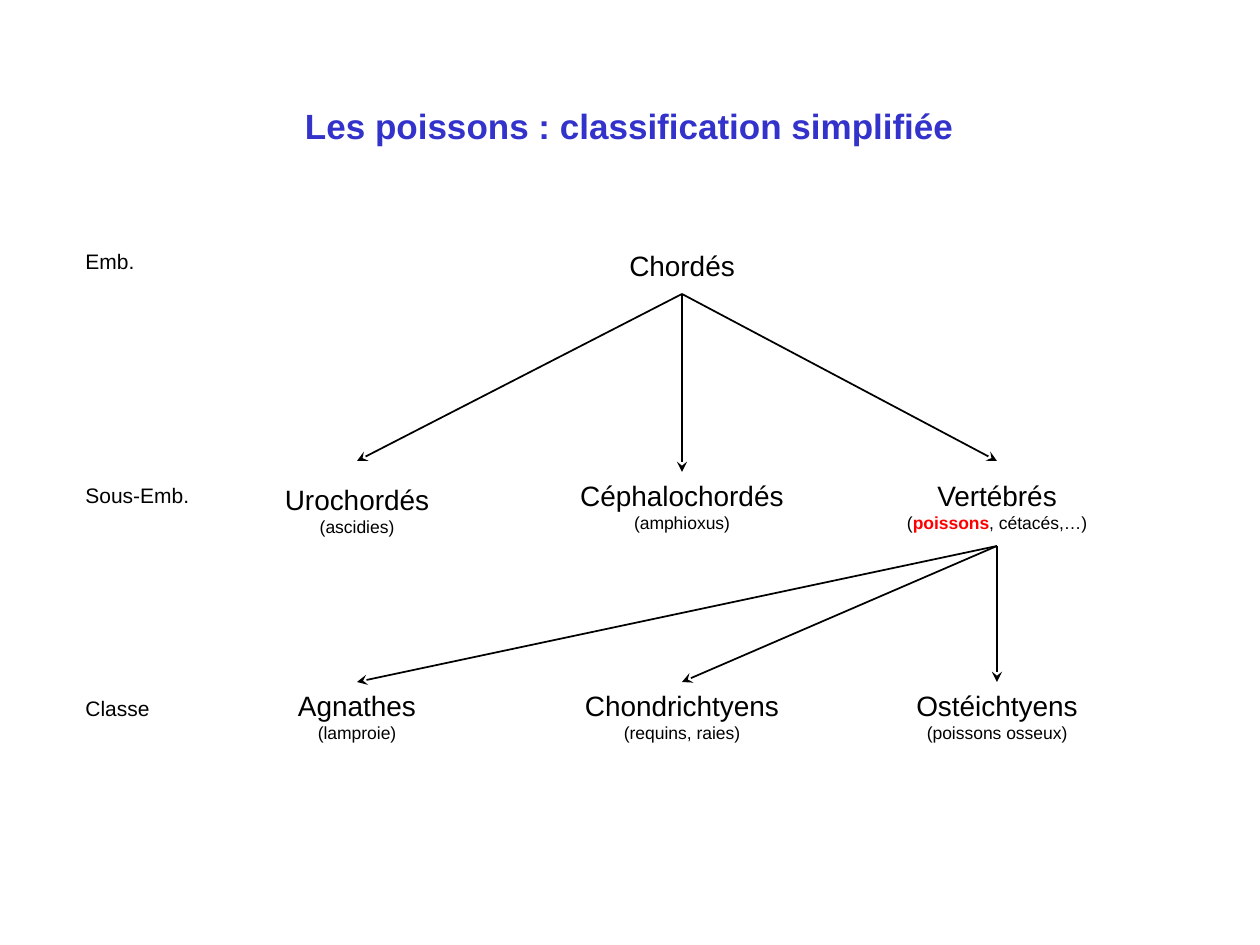
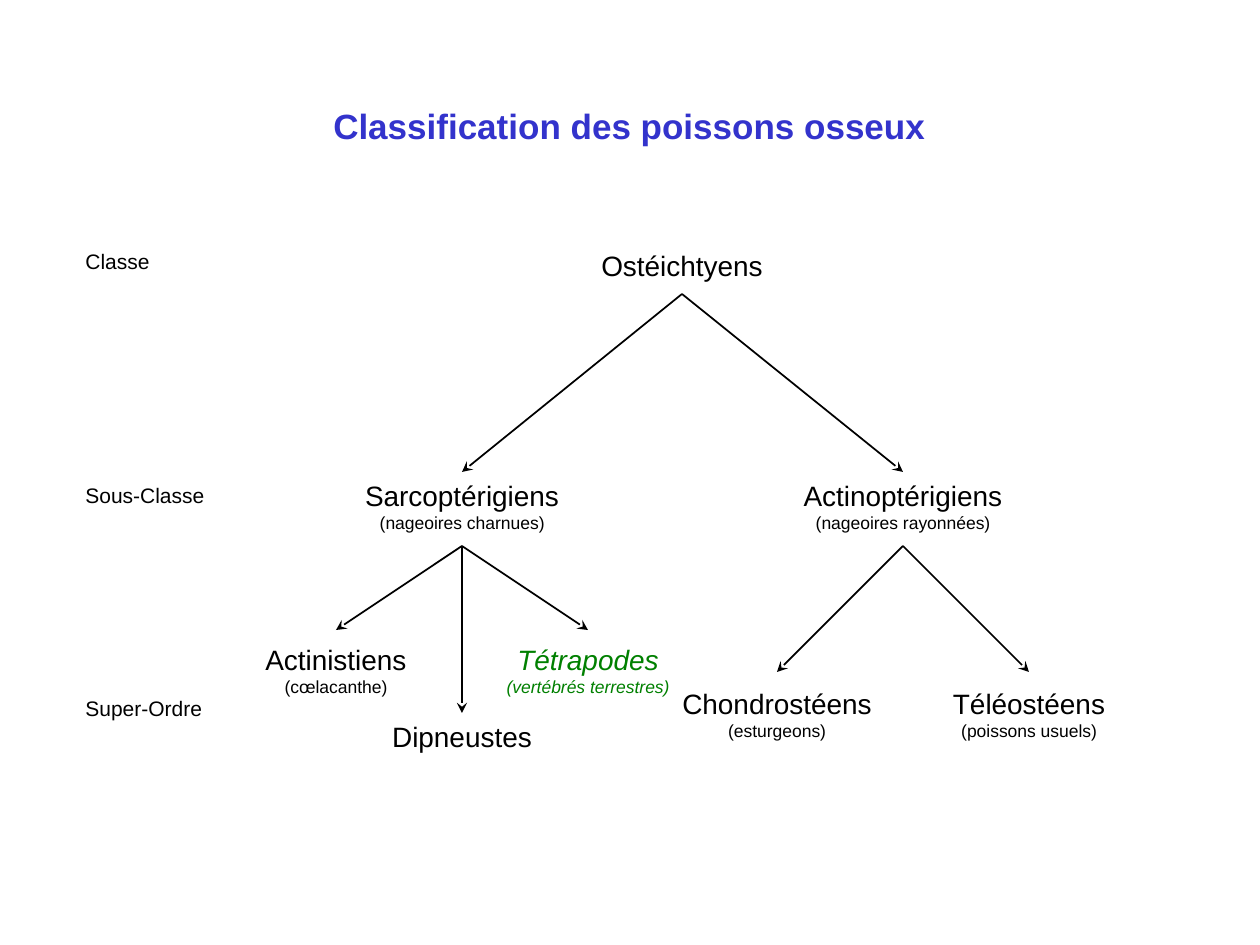
from lxml import etree
from pptx import Presentation
from pptx import util as u
from pptx.dml.color import RGBColor
from pptx.enum import shapes, text
from pptx.oxml.ns import qn

PX = 914400 / 126
FONT = "Arial"
BLUE, BLACK, RED, GREEN = "3333CC", "000000", "FF0000", "008000"
TITLE_BOX = (94, 84, 1071, 84)
RANK_X = 73
RANK_ROWS = [(242, 95), (476, 147), (689, 158)]  # top, width
ROOT_Y, SUB_Y = 294, 546  # where the arrows leave each level

# Taxa: name, note (*emphasis*), centre x, top, width. Fans: start, arrow tips.
SLIDES = [
    {
        "title": "Les poissons : classification simplifiée",
        "ranks": ["Emb.", "Sous-Emb.", "Classe"],
        "taxa": [
            ("Chordés", "", 682, 242, 220),
            ("Urochordés", "(ascidies)", 357, 476, 220),
            ("Céphalochordés", "(amphioxus)", 682, 472, 250),
            ("Vertébrés", "(*poissons*, cétacés,…)", 997, 472, 210),
            ("Agnathes", "(lamproie)", 357, 682, 210),
            ("Chondrichtyens", "(requins, raies)", 682, 682, 226),
            ("Ostéichtyens", "(poissons osseux)", 997, 682, 230),
        ],
        "fans": [
            ((682, ROOT_Y), [(357, 461), (682, 472), (997, 461)]),
            ((997, SUB_Y), [(357, 682), (682, 682), (997, 682)]),
        ],
    },
    {
        "title": "Classification des poissons osseux",
        "ranks": ["Classe", "Sous-Classe", "Super-Ordre"],
        "taxa": [
            ("Ostéichtyens", "", 682, 242, 220),
            ("Sarcoptérigiens", "(nageoires charnues)", 462, 472, 220),
            ("Actinoptérigiens", "(nageoires rayonnées)", 903, 472, 240),
            ("Actinistiens", "(cœlacanthe)", 336, 636, 226),
            ("Dipneustes", "", 462, 713, 210),
            ("Tétrapodes", "(vertébrés terrestres)", 588, 636, 210),
            ("Chondrostéens", "(esturgeons)", 777, 680, 230),
            ("Téléostéens", "(poissons usuels)", 1029, 680, 230),
        ],
        "fans": [
            ((682, ROOT_Y), [(462, 472), (903, 472)]),
            ((462, SUB_Y), [(336, 630), (462, 713), (588, 630)]),
            ((903, SUB_Y), [(777, 672), (1029, 672)]),
        ],
    },
]


def emu(*lengths):
    return [u.Emu(round(n * PX)) for n in lengths]


def style(r, size, color=BLACK, bold=False, italic=False):
    r.font.name, r.font.size = FONT, u.Pt(size)
    r.font.bold, r.font.italic = bold, italic
    r.font.color.rgb = RGBColor.from_string(color)


prs = Presentation()
prs.slide_width, prs.slide_height = u.Inches(10), u.Inches(7.5)

for content in SLIDES:
    s = prs.slides.add_slide(prs.slide_layouts[5])
    title = s.shapes.title
    title.left, title.top, title.width, title.height = emu(*TITLE_BOX)
    title.text_frame.text = content["title"]
    title.text_frame.vertical_anchor = text.MSO_ANCHOR.MIDDLE
    p = title.text_frame.paragraphs[0]
    p.alignment = text.PP_ALIGN.CENTER
    style(p.runs[0], 20, BLUE, bold=True)

    for rank, (top, width) in zip(content["ranks"], RANK_ROWS):
        tf = s.shapes.add_textbox(*emu(RANK_X, top, width, 38)).text_frame
        tf.word_wrap = True
        tf.text = rank
        style(tf.paragraphs[0].runs[0], 12)

    for name, note, cx, top, width in content["taxa"]:
        height = 67 if note else 47
        tf = s.shapes.add_textbox(*emu(cx - width / 2, top, width, height)).text_frame
        tf.word_wrap = True
        tf.auto_size = text.MSO_AUTO_SIZE.SHAPE_TO_FIT_TEXT
        tf.text = f"{name}\v" if note else name
        p = tf.paragraphs[0]
        p.alignment = text.PP_ALIGN.CENTER
        italic = name == "Tétrapodes"
        color = GREEN if italic else BLACK
        style(p.runs[0], 16, color, italic=italic)
        for br in p._p.findall(qn("a:br")):
            etree.SubElement(br, qn("a:rPr"), sz="1600")
        for i, part in enumerate(note.split("*") if note else []):
            r = p.add_run()
            r.text = part
            emphasis = i % 2 == 1
            style(r, 10, RED if emphasis else color, emphasis, italic)

    for start, tips in content["fans"]:
        for tip in tips:
            sp = s.shapes.add_connector(shapes.MSO_CONNECTOR.STRAIGHT, *emu(*start, *tip))
            sp.line.color.rgb = RGBColor.from_string(BLACK)
            sp.line.width = u.Pt(1)
            etree.SubElement(sp.line._get_or_add_ln(), qn("a:tailEnd"), type="stealth")
            etree.SubElement(sp._element.spPr, qn("a:effectLst"))

prs.save("out.pptx")
